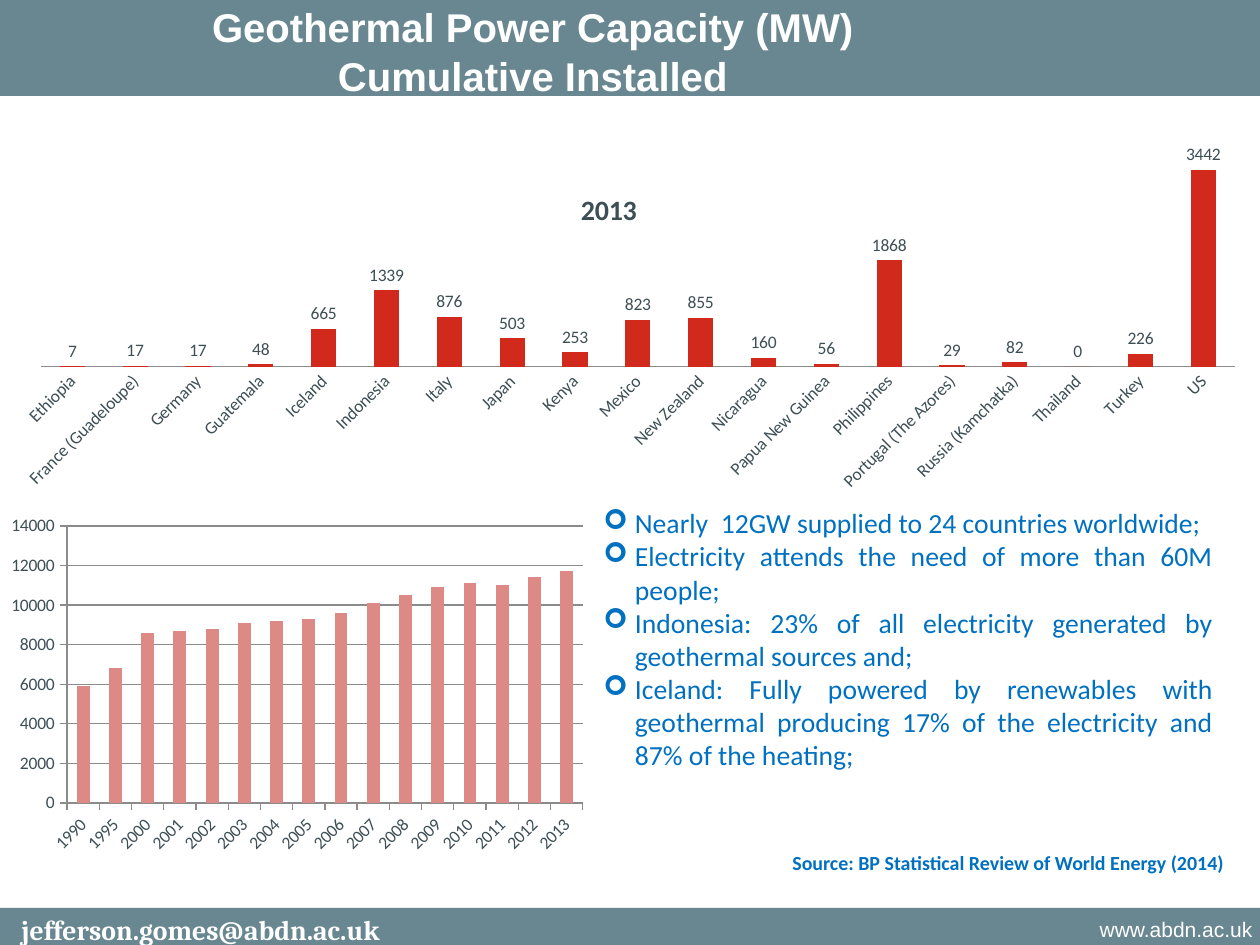
"""Slide on installed geothermal power capacity, with two column charts."""
import pptx
import pptx.chart.data
import pptx.dml.color
import pptx.enum.chart
import pptx.enum.shapes
import pptx.enum.text
import pptx.oxml
import pptx.oxml.ns
import pptx.util

SCALE = 914400 / 126
COLORS = {"band": "688791", "white": "FFFFFF", "blue": "0070C0", "label": "3D4F55",
          "country": "D12A1D", "year": "DD8A87", "line": "8B8B8B"}
RGB = {name: pptx.dml.color.RGBColor.from_string(value) for name, value in COLORS.items()}
ALIGN = pptx.enum.text.PP_ALIGN
MIDDLE = pptx.enum.text.MSO_ANCHOR.MIDDLE
TICK = pptx.enum.chart.XL_TICK_MARK
qn = pptx.oxml.ns.qn
nsdecls = pptx.oxml.ns.nsdecls


def px(*lengths):
    return [round(length * SCALE) for length in lengths]


def write(frame, lines, font, size, color, bold, align, bullet=None):
    for index, line in enumerate(lines):
        para = frame.paragraphs[0] if index == 0 else frame.add_paragraph()
        para.alignment = align
        if bullet:
            properties = para._p.get_or_add_pPr()
            properties.set("marL", "228600")
            properties.set("indent", "-228600")
            properties.append(pptx.oxml.parse_xml(
                f'<a:buFont {nsdecls("a")} typeface="Wingdings"/>'))
            properties.append(pptx.oxml.parse_xml(
                f'<a:buChar {nsdecls("a")} char="{bullet}"/>'))
        span = para.add_run()
        span.text = line
        span.font.name = font
        span.font.size = pptx.util.Pt(size)
        span.font.bold = bold
        span.font.color.rgb = RGB[color]


deck = pptx.Presentation()
deck.slide_width, deck.slide_height = px(1260, 945)
page = deck.slides.add_slide(deck.slide_layouts[5])

for order, (top, height) in enumerate([(0, 96), (908, 37)]):
    band = page.shapes.add_shape(pptx.enum.shapes.MSO_SHAPE.RECTANGLE, *px(0, top, 1260, height))
    band.shadow.inherit = False
    band.fill.solid()
    band.fill.fore_color.rgb = RGB["band"]
    band.line.fill.background()
    page.shapes._spTree.insert(2 + order, band._element)

title = page.shapes.title
title.left, title.top, title.width, title.height = px(0, -4, 1066, 110)
title.text_frame.vertical_anchor = MIDDLE
write(title.text_frame, ["Geothermal Power Capacity (MW)", "Cumulative Installed"],
      "Arial", 22.9, "white", True, ALIGN.CENTER)

years = {"1990": 5900, "1995": 6800, "2000": 8600, "2001": 8700, "2002": 8800, "2003": 9100,
         "2004": 9200, "2005": 9300, "2006": 9600, "2007": 10100, "2008": 10500, "2009": 10900,
         "2010": 11100, "2011": 11000, "2012": 11400, "2013": 11700}
countries = {"Ethiopia": 7, "France (Guadeloupe)": 17, "Germany": 17, "Guatemala": 48,
             "Iceland": 665, "Indonesia": 1339, "Italy": 876, "Japan": 503, "Kenya": 253,
             "Mexico": 823, "New Zealand": 855, "Nicaragua": 160, "Papua New Guinea": 56,
             "Philippines": 1868, "Portugal (The Azores)": 29, "Russia (Kamchatka)": 82,
             "Thailand": 0, "Turkey": 226, "US": 3442}
charts = []
for values, place, plot, color, tick, top_value, step in [
        (years, (0, 509, 595, 352), (67, 526, 516, 277), "year", TICK.OUTSIDE, 14000, 2000),
        (countries, (0, 57, 1260, 443), (41, 138, 1194, 229), "country", TICK.NONE, 4000, 1000)]:
    data = pptx.chart.data.CategoryChartData(number_format="0")
    data.categories = list(values)
    data.add_series("Series 1", list(values.values()))
    chart = page.shapes.add_chart(
        pptx.enum.chart.XL_CHART_TYPE.COLUMN_CLUSTERED, *px(*place), data).chart
    charts.append(chart)
    chart.has_legend = False
    chart.has_title = False
    chart.font.name = "Calibri"
    chart.font.size = pptx.util.Pt(10)
    chart.font.color.rgb = RGB["label"]
    chart._chartSpace.find(qn("c:txPr")).addprevious(pptx.oxml.parse_xml(
        f'<c:spPr {nsdecls("c", "a")}><a:noFill/><a:ln><a:noFill/></a:ln></c:spPr>'))
    bars = chart.plots[0]
    bars.gap_width = 150
    bars.vary_by_categories = False
    bars.series[0].format.fill.solid()
    bars.series[0].format.fill.fore_color.rgb = RGB[color]
    for axis in (chart.category_axis, chart.value_axis):
        axis.major_tick_mark = tick
        axis.minor_tick_mark = TICK.NONE
        axis.format.line.color.rgb = RGB["line"]
        axis.tick_labels.font.size = pptx.util.Pt(10)
    chart.category_axis._element.find(qn("c:txPr")).find(qn("a:bodyPr")).set("rot", "-2700000")
    chart.value_axis.minimum_scale = 0
    chart.value_axis.maximum_scale = top_value
    chart.value_axis.major_unit = step
    area = chart._chartSpace.chart.plotArea
    for layout in area.findall(qn("c:layout")):
        area.remove(layout)
    left, top, width, height = place
    fractions = {"x": (plot[0] - left) / width, "y": (plot[1] - top) / height,
                 "w": plot[2] / width, "h": plot[3] / height}
    area.insert(0, pptx.oxml.parse_xml(
        f'<c:layout {nsdecls("c")}><c:manualLayout><c:layoutTarget val="inner"/>'
        '<c:xMode val="edge"/><c:yMode val="edge"/>'
        + "".join(f'<c:{key} val="{value:.4f}"/>' for key, value in fractions.items())
        + "</c:manualLayout></c:layout>"))

year_chart, country_chart = charts
year_chart.value_axis.major_gridlines.format.line.color.rgb = RGB["line"]
country_chart.value_axis.has_major_gridlines = False
country_chart.value_axis.visible = False
country_chart.plots[0].overlap = -25
labels = country_chart.plots[0].series[0].data_labels
labels.show_value = True
labels.number_format = "0"
labels.number_format_is_linked = False
labels.position = pptx.enum.chart.XL_LABEL_POSITION.OUTSIDE_END
labels.font.size = pptx.util.Pt(10)
labels.font.color.rgb = RGB["label"]
heading = country_chart.chart_title
write(heading.text_frame, ["2013"], "Calibri", 16, "label", True, ALIGN.CENTER)
heading_xml = heading._element
for layout in heading_xml.findall(qn("c:layout")):
    heading_xml.remove(layout)
heading_xml.find(qn("c:tx")).addnext(pptx.oxml.parse_xml(
    f'<c:layout {nsdecls("c")}><c:manualLayout><c:xMode val="edge"/><c:yMode val="edge"/>'
    '<c:x val="0.457"/><c:y val="0.29"/></c:manualLayout></c:layout>'))
heading.include_in_layout = True
heading_xml.find(qn("c:overlay")).set("val", "1")

facts = ["Nearly  12GW supplied to 24 countries worldwide;",
         "Electricity attends the need of more than 60M people;",
         "Indonesia: 23% of all electricity generated by geothermal sources and;",
         "Iceland: Fully powered by renewables with geothermal producing 17% of the "
         "electricity and 87% of the heating;"]
source = ["Source: BP Statistical Review of World Energy (2014)"]
for place, lines, font, size, color, bold, align, bullet, wrap, anchor in [
        ((591, 500, 635, 281), facts, "Calibri", 15.8, "blue", False, ALIGN.JUSTIFY, "➢", True, None),
        ((780, 844, 465, 37), source, "Calibri", 11.4, "blue", True, ALIGN.LEFT, None, False, None),
        ((0, 910, 402, 39), ["jefferson.gomes@abdn.ac.uk"], "Cambria", 15.8, "white", True,
         ALIGN.CENTER, None, True, MIDDLE),
        ((937, 909, 328, 40), ["www.abdn.ac.uk"], "Arial", 12, "white", False,
         ALIGN.RIGHT, None, True, MIDDLE)]:
    box = page.shapes.add_textbox(*px(*place))
    box.text_frame.word_wrap = wrap
    box.text_frame.vertical_anchor = anchor
    write(box.text_frame, lines, font, size, color, bold, align, bullet)

deck.save("out.pptx")
